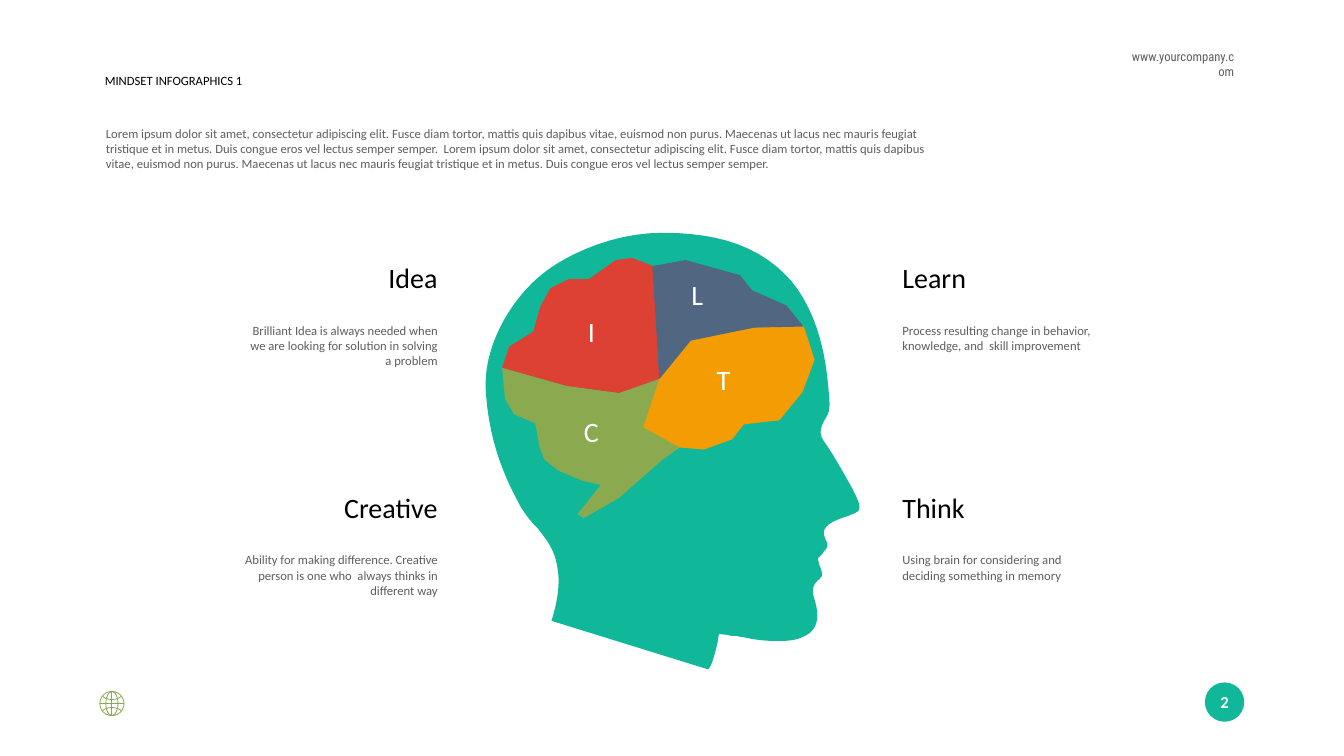
from pptx import Presentation
from pptx.dml.color import RGBColor
from pptx.enum.shapes import MSO_CONNECTOR as LineKind, MSO_SHAPE as Preset
from pptx.enum.text import MSO_ANCHOR as Anchor, PP_ALIGN as Align
from pptx.oxml.ns import qn
from pptx.util import Inches, Pt
from lxml import etree

TEAL, GREEN, RED = "10B899", "8BAA4F", "DC4133"
ORANGE, SLATE = "F49C03", "516681"
GREY, BLACK, WHITE = "5E5E5E", "000000", "FFFFFF"

INTRO = (
    "Lorem ipsum dolor sit amet, consectetur adipiscing elit. Fusce diam tortor, "
    "mattis quis dapibus vitae, euismod non purus. Maecenas ut lacus nec mauris "
    "feugiat tristique et in metus. Duis congue eros vel lectus semper semper.  "
    "Lorem ipsum dolor sit amet, consectetur adipiscing elit. Fusce diam tortor, "
    "mattis quis dapibus vitae, euismod non purus. Maecenas ut lacus nec mauris "
    "feugiat tristique et in metus. Duis congue eros vel lectus semper semper."
)

# Outline steps in inches: two numbers are a line, six are a cubic curve
HEAD = [
    (8.46, 4.86),
    (8.42, 4.79, 8.28, 4.53, 8.18, 4.39), (8.11, 4.3, 8.14, 4.23, 8.2, 4.13),
    (8.24, 4.06, 8.23, 3.99, 8.21, 3.79), (8.19, 3.59, 8.13, 3.13, 7.85, 2.79),
    (7.56, 2.46, 7.16, 2.31, 6.57, 2.31), (6.02, 2.31, 5.52, 2.58, 5.32, 2.77),
    (5.24, 2.84, 5.09, 3, 4.98, 3.21), (4.86, 3.44, 4.8, 3.67, 4.82, 3.91),
    (4.86, 4.42, 5.01, 4.74, 5.16, 5.02), (5.22, 5.12, 5.28, 5.19, 5.34, 5.25),
    (5.42, 5.36, 5.5, 5.44, 5.53, 5.64), (5.56, 5.81, 5.52, 6, 5.47, 6.16),
    (7.02, 6.64),
    (7.03, 6.64, 7.03, 6.63, 7.04, 6.62), (7.07, 6.57, 7.1, 6.45, 7.12, 6.36),
    (7.13, 6.29), (7.22, 6.3),
    (7.24, 6.31, 7.27, 6.31, 7.31, 6.31), (7.34, 6.32, 7.37, 6.32, 7.41, 6.33),
    (7.5, 6.35, 7.61, 6.36, 7.72, 6.36), (7.82, 6.36, 7.9, 6.35, 7.96, 6.32),
    (8.11, 6.26, 8.14, 6.13, 8.07, 5.92), (8.05, 5.83, 8.07, 5.8, 8.12, 5.75),
    (8.13, 5.75, 8.13, 5.74, 8.14, 5.73), (8.18, 5.7, 8.12, 5.61, 8.12, 5.58),
    (8.11, 5.54), (8.16, 5.49),
    (8.18, 5.45, 8.22, 5.44, 8.2, 5.38), (8.19, 5.36, 8.18, 5.33, 8.17, 5.3),
    (8.16, 5.21, 8.28, 5.16, 8.41, 5.12), (8.45, 5.1, 8.5, 5.09, 8.52, 5.06),
    (8.54, 5, 8.48, 4.91, 8.46, 4.86),
]

# Brain parts: letter, colour, letter position, outline
BRAIN = [
    ("I", RED, (5.52, 2.97),
     [(6.51, 3.11), (6.48, 2.64), (6.27, 2.56), (6.11, 2.58), (5.84, 2.77),
      (5.64, 2.77), (5.46, 2.86), (5.36, 3.04), (5.29, 3.29), (5.05, 3.44),
      (4.98, 3.65), (5.62, 3.83), (6.14, 3.9), (6.54, 3.76)]),
    ("C", GREEN, (5.52, 3.96),
     [(6.38, 4.24), (6.54, 3.76), (6.14, 3.9), (5.62, 3.83), (4.98, 3.65),
      (5.01, 3.96), (5.1, 4.11), (5.31, 4.2), (5.35, 4.43), (5.4, 4.56),
      (5.54, 4.67), (5.78, 4.77), (5.96, 4.81), (5.73, 5.1), (5.79, 5.14),
      (6.14, 4.94), (6.56, 4.57), (6.74, 4.44)]),
    ("T", ORANGE, (6.83, 3.44),
     [(7.97, 3.23), (7.49, 3.25), (6.86, 3.37), (6.54, 3.76), (6.38, 4.24),
      (6.74, 4.44), (6.98, 4.46), (7.26, 4.36), (7.38, 4.21), (7.73, 4.17),
      (7.96, 3.89), (8.08, 3.57)]),
    ("L", SLATE, (6.57, 2.6),
     [(7.8, 3.03), (7.46, 2.88), (7.34, 2.73), (6.8, 2.58), (6.47, 2.64),
      (6.5, 3.11), (6.54, 3.76), (6.85, 3.38), (7.48, 3.25), (7.97, 3.24)]),
]

# Topics: column, row, heading, description
TOPICS = [
    (1, 0, "Learn",
     "Process resulting change in behavior, knowledge, and  skill improvement"),
    (1, 1, "Think", "Using brain for considering and deciding something in memory"),
    (0, 0, "Idea", "Brilliant Idea is always needed when we are looking for "
                   "solution in solving a problem"),
    (0, 1, "Creative", "Ability for making difference. Creative person is one who  "
                       "always thinks in different way"),
]


def color(value):
    return RGBColor.from_string(value)


def write(shape, text, size, ink, align=Align.LEFT, anchor=Anchor.MIDDLE,
          font="Calibri", bold=False, spacing=None, inset=0.03, wrap=True):
    frame = shape.text_frame
    frame.word_wrap = wrap
    frame.vertical_anchor = anchor
    frame.margin_left = frame.margin_right = Inches(inset)
    frame.margin_top = frame.margin_bottom = Inches(inset)
    para = frame.paragraphs[0]
    para.alignment = align
    para.line_spacing = spacing
    span = para.add_run()
    span.text = text
    span.font.size, span.font.name, span.font.bold = Pt(size), font, bold
    span.font.color.rgb = color(ink)


def add_text(page, left, top, width, height, text, size, ink, **style):
    box = page.shapes.add_textbox(*map(Inches, (left, top, width, height)))
    write(box, text, size, ink, **style)


def paint(shape, fill=None, line=None):
    shape.shadow.inherit = False
    if fill:
        shape.fill.solid()
        shape.fill.fore_color.rgb = color(fill)
    else:
        shape.fill.background()
    if line:
        shape.line.color.rgb = color(line)
        shape.line.width = Pt(0.6)
    else:
        shape.line.fill.background()


def add_ellipse(page, left, top, width, height, **paints):
    oval = page.shapes.add_shape(
        Preset.OVAL, *map(Inches, (left, top, width, height)))
    paint(oval, **paints)
    return oval


def trace(steps, pieces=12):
    """Turn lines and cubic curves into a list of points."""
    points = [steps[0]]
    for step in steps[1:]:
        if len(step) == 2:
            points.append(step)
            continue
        x0, y0 = points[-1]
        x1, y1, x2, y2, x3, y3 = step
        for piece in range(1, pieces + 1):
            t = piece / pieces
            a, b, c, d = (1 - t) ** 3, 3 * t * (1 - t) ** 2, 3 * t * t * (1 - t), t ** 3
            points.append((a * x0 + b * x1 + c * x2 + d * x3,
                           a * y0 + b * y1 + c * y2 + d * y3))
    return points


def add_outline(page, steps, close=True, **paints):
    points = [(Inches(x), Inches(y)) for x, y in trace(steps)]
    builder = page.shapes.build_freeform(*points[0])
    builder.add_line_segments(points[1:], close=close)
    paint(builder.convert_to_shape(), **paints)


def add_line(page, x1, y1, x2, y2, ink):
    line = page.shapes.add_connector(
        LineKind.STRAIGHT, *map(Inches, (x1, y1, x2, y2)))
    line.line.color.rgb = color(ink)
    line.line.width = Pt(0.6)
    etree.SubElement(line._element.spPr, qn("a:effectLst"))


def add_globe(page, x, y, radius):
    for half_width in (radius, radius / 2):
        add_ellipse(page, x - half_width, y - radius, 2 * half_width, 2 * radius,
                    line=GREEN)
    add_line(page, x - radius, y, x + radius, y, GREEN)
    add_line(page, x, y - radius, x, y + radius, GREEN)
    for side in (-1, 1):
        edge, bend = y + side * 0.07, y + side * 0.03
        add_outline(page, [(x - 0.09, edge),
                           (x - 0.05, bend, x + 0.05, bend, x + 0.09, edge)],
                    close=False, line=GREEN)


def add_topic(page, column, row, heading, description):
    align = (Align.RIGHT, Align.LEFT)[column]
    top = 2.57 + row * 2.28
    add_text(page, (0.94, 8.92)[column], top, 3.43, 0.43, heading, 20, BLACK,
             align=align, spacing=0.8)
    add_text(page, (2.39, 8.92)[column], top + 0.6, 1.98, 0.7, description, 9, GREY,
             align=align, anchor=Anchor.TOP)


def main():
    deck = Presentation()
    deck.slide_width, deck.slide_height = Inches(13.33), Inches(7.5)
    page = deck.slides.add_slide(deck.slide_layouts[6])

    # Footer and header
    add_globe(page, 1.11, 6.98, 0.12)
    badge = add_ellipse(page, 11.95, 6.77, 0.39, 0.39, fill=TEAL)
    write(badge, "2", 12, WHITE, align=Align.CENTER, bold=True, wrap=False)
    add_text(page, 11.14, 0.53, 1.13, 0.21, "www.yourcompany.com", 9, GREY,
             align=Align.RIGHT, font="Roboto Condensed")
    add_text(page, 1.01, 0.69, 1.43, 0.21, "MINDSET INFOGRAPHICS 1", 9, BLACK,
             wrap=False)
    add_text(page, 1.04, 1.24, 8.34, 0.85, INTRO, 9, GREY, anchor=Anchor.TOP,
             inset=0.01)

    # Head with the lettered brain parts
    add_outline(page, HEAD, fill=TEAL)
    for letter, fill, (left, top), outline in BRAIN:
        add_outline(page, outline, fill=fill)
        add_text(page, left, top, 0.69, 0.7, letter, 20, WHITE,
                 align=Align.CENTER, spacing=0.8)

    # Topics on both sides
    for topic in TOPICS:
        add_topic(page, *topic)

    deck.save("out.pptx")


if __name__ == "__main__":
    main()
